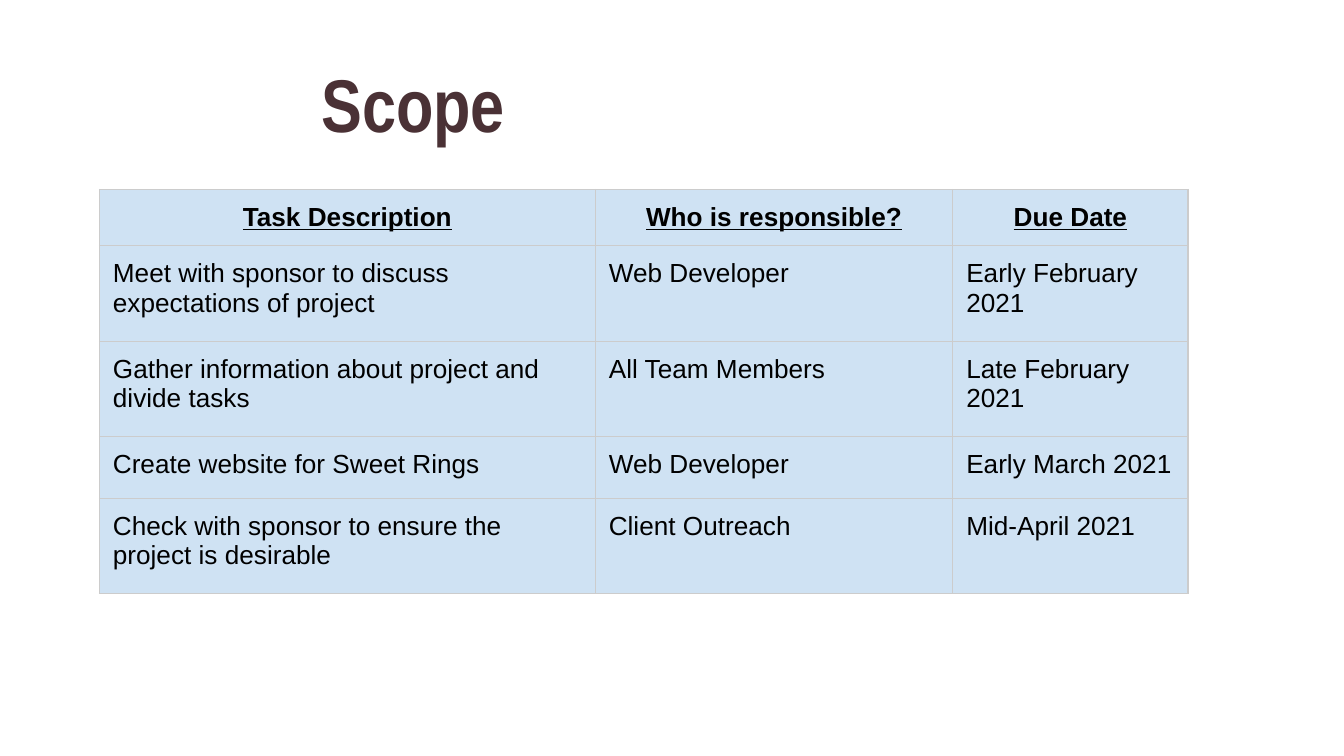
from lxml import etree
from pptx import Presentation
from pptx.dml.color import RGBColor
from pptx.enum.text import MSO_ANCHOR, MSO_AUTO_SIZE, PP_ALIGN
from pptx.oxml.ns import qn
from pptx.util import Inches, Pt

LEFT, CENTER = PP_ALIGN.LEFT, PP_ALIGN.CENTER
TOP, MIDDLE = MSO_ANCHOR.TOP, MSO_ANCHOR.MIDDLE
NO_AUTOFIT = MSO_AUTO_SIZE.NONE
TITLE_ONLY = 5

HEADINGS = ["Task Description", "Who is responsible?", "Due Date"]
TASKS = [
    ["Meet with sponsor to discuss expectations of project",
     "Web Developer", "Early February 2021"],
    ["Gather information about project and divide tasks",
     "All Team Members", "Late February 2021"],
    ["Create website for Sweet Rings", "Web Developer", "Early March 2021"],
    ["Check with sponsor to ensure the project is desirable",
     "Client Outreach", "Mid-April 2021"],
]
COLUMN_WIDTHS = [3.69, 2.66, 1.75]
ROW_HEIGHTS = [0.41, 0.71, 0.71, 0.46, 0.71]


def color(hex_value):
    return RGBColor.from_string(hex_value)


class ScopeSlide:
    title_font = "Arial Narrow"
    body_font = "Arial"
    title_color = "4A3135"
    text_color = "000000"
    cell_color = "CFE2F3"
    border_color = "CCCCCC"
    border_width = Pt(0.75)
    inset = Inches(0.1)

    def __init__(self, slide):
        self.slide = slide

    def set_insets(self, target):
        target.margin_left = target.margin_right = self.inset
        target.margin_top = target.margin_bottom = self.inset

    def format_font(self, font, name, size, hex_value, bold, underline=False):
        font.name = name
        font.size = Pt(size)
        font.color.rgb = color(hex_value)
        font.bold = bold
        font.underline = underline

    def add_title(self, text, left, top, width, height):
        title = self.slide.shapes.title
        title.left, title.top = Inches(left), Inches(top)
        title.width, title.height = Inches(width), Inches(height)
        frame = title.text_frame
        frame.text = text
        frame.word_wrap = True
        frame.auto_size = NO_AUTOFIT
        frame.vertical_anchor = MIDDLE
        self.set_insets(frame)
        heading = frame.paragraphs[0]
        heading.alignment = LEFT
        self.format_font(heading.font, self.title_font, 40, self.title_color, True)

    def add_borders(self, cell):
        properties = cell._tc.get_or_add_tcPr()
        for position, side in enumerate(("a:lnL", "a:lnR", "a:lnT", "a:lnB")):
            line = etree.Element(qn(side), w=str(self.border_width))
            fill = etree.SubElement(line, qn("a:solidFill"))
            etree.SubElement(fill, qn("a:srgbClr"), val=self.border_color)
            properties.insert(position, line)

    def fill_cell(self, cell, text, is_heading):
        cell.text = text
        cell.fill.solid()
        cell.fill.fore_color.rgb = color(self.cell_color)
        cell.vertical_anchor = TOP
        self.set_insets(cell)
        self.add_borders(cell)
        paragraph = cell.text_frame.paragraphs[0]
        paragraph.alignment = CENTER if is_heading else LEFT
        self.format_font(paragraph.font, self.body_font, 14, self.text_color,
                         is_heading, is_heading)

    def add_table(self, rows, left, top, widths, heights):
        table = self.slide.shapes.add_table(
            len(rows), len(widths), Inches(left), Inches(top),
            Inches(sum(widths)), Inches(sum(heights))).table
        table.horz_banding = False
        for column, width in zip(table.columns, widths):
            column.width = Inches(width)
        for row, height in zip(table.rows, heights):
            row.height = Inches(height)
        for row_index, texts in enumerate(rows):
            for column_index, text in enumerate(texts):
                self.fill_cell(table.cell(row_index, column_index), text,
                               row_index == 0)


def main():
    presentation = Presentation()
    presentation.slide_width = Inches(10)
    presentation.slide_height = Inches(10 * 9 / 16)
    layout = presentation.slide_layouts[TITLE_ONLY]
    scope = ScopeSlide(presentation.slides.add_slide(layout))
    scope.add_title("Scope", 2.29, 0.12, 3.42, 1.28)
    scope.add_table([HEADINGS] + TASKS, 0.74, 1.41, COLUMN_WIDTHS, ROW_HEIGHTS)
    presentation.save("out.pptx")


if __name__ == "__main__":
    main()
